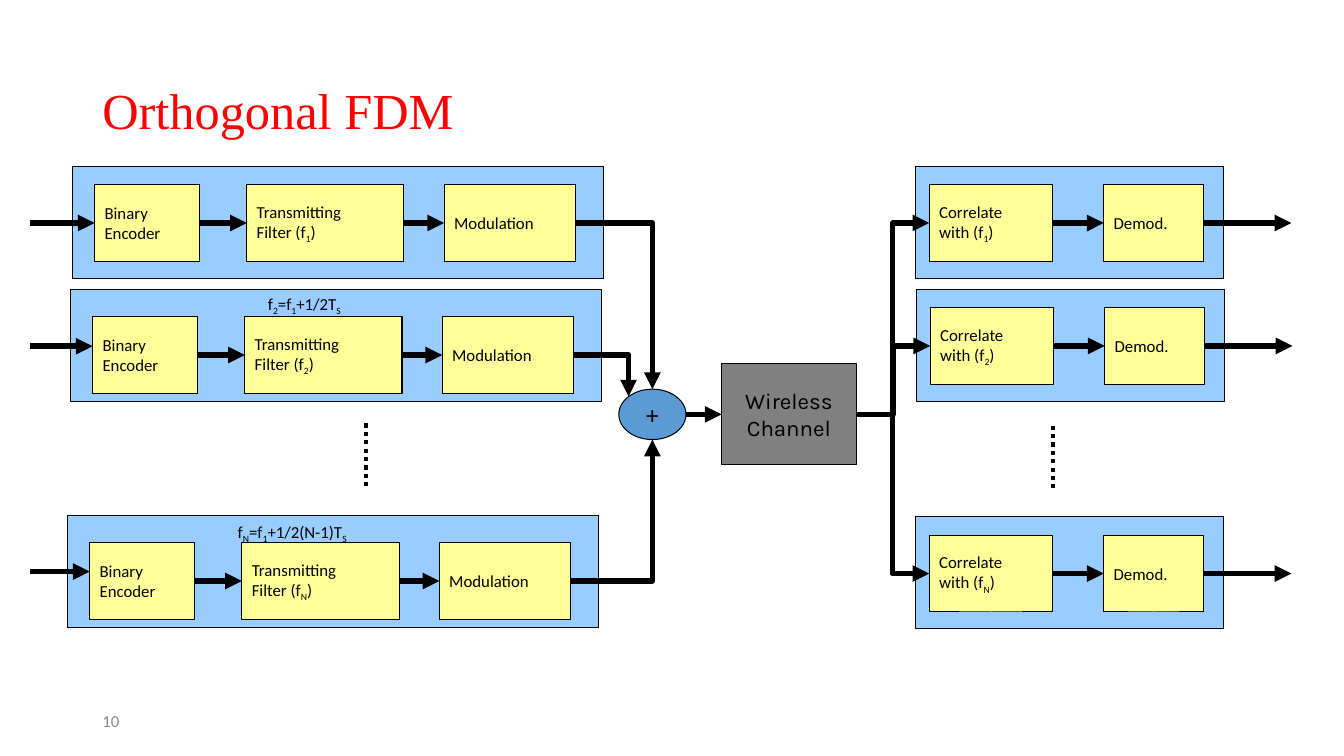
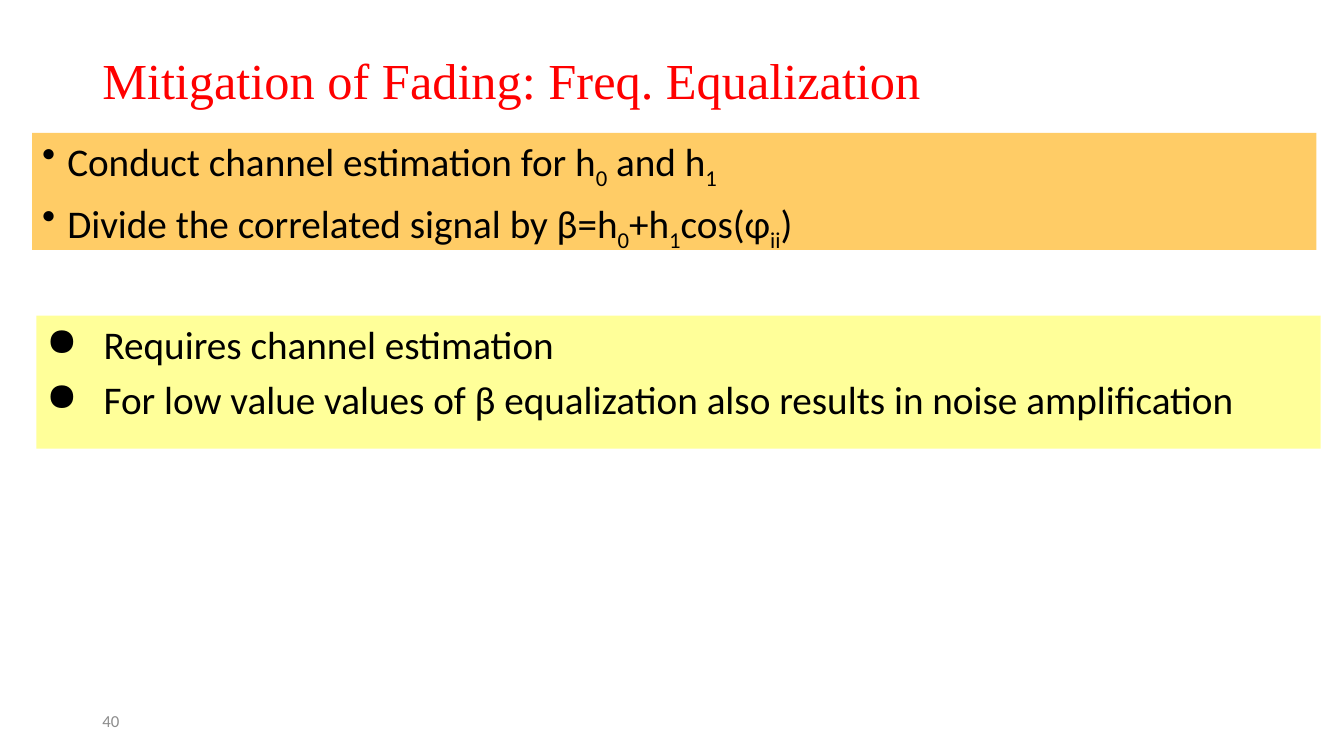
from lxml.etree import SubElement as Sub
from pptx import Presentation as Show
from pptx.dml.color import RGBColor as Rgb
from pptx.enum.dml import MSO_LINE as Dash
from pptx.enum.shapes import MSO_CONNECTOR as Link, MSO_SHAPE as Form
from pptx.enum.text import MSO_ANCHOR as Anchor, PP_ALIGN as Align
from pptx.oxml.ns import qn
from pptx.util import Pt

BLACK, RED, GRAY = "000000", "FF0000", "8C8C8C"
BLUE, YELLOW, ORANGE = "99CCFF", "FFFF99", "FFCC66"
ROUND, STEEL = "5B9BD5", "808080"
BODY = dict(name="Calibri", size=Pt(12))
HEAD = dict(name="Times New Roman", size=Pt(36))
SIGN = dict(name="Calibri", size=Pt(18))
LARGE = dict(name="Calibri", size=Pt(28))
AIR = dict(name="Karla", size=Pt(16))


def color(code):
    return Rgb.from_string(code)


def apply(item, style):
    for key, value in style.items():
        setattr(item, key, value)


class Deck:
    def __init__(self):
        self.show = Show()
        apply(self.show, dict(slide_width=Pt(960), slide_height=Pt(540)))

    def page(self, title, high, number):
        self.slide = self.show.slides.add_slide(self.show.slide_layouts[6])
        self.text((66, 29, 828, high), [title], HEAD, RED, para=dict(line_spacing=0.9))
        self.text((66, 500.5, 216, 29), [number], BODY, GRAY)

    def label(self, shape, lines, font, ink=BLACK, anchor=Anchor.MIDDLE,
              wrap=True, para=None, gap=0, mark=None, indent=0):
        frame = shape.text_frame
        apply(frame, dict(word_wrap=wrap, vertical_anchor=anchor))
        for row, line in enumerate(lines):
            part = frame.add_paragraph() if row else frame.paragraphs[0]
            if mark:
                props = part._p.get_or_add_pPr()
                props.set("marL", str(Pt(indent)))
                props.set("indent", str(-Pt(indent)))
                Sub(props, qn("a:buChar"), char=mark)
            apply(part, dict(alignment=Align.LEFT, space_before=Pt(gap if row else 0)))
            apply(part, para or {})
            for turn, piece in enumerate(line.split("~")):
                if piece:
                    run = part.add_run()
                    run.text = piece
                    apply(run.font, font)
                    run.font.color.rgb = color(ink)
                    if turn % 2:
                        run._r.get_or_add_rPr().set("baseline", "-25000")

    def text(self, place, lines, font, ink=BLACK, **more):
        box = self.slide.shapes.add_textbox(*map(Pt, place))
        self.label(box, lines, font, ink, **more)

    def box(self, place, fill, lines=(), font=BODY, form=Form.RECTANGLE, edge=True, **more):
        shape = self.slide.shapes.add_shape(form, *map(Pt, place))
        shape.shadow.inherit = False
        shape.fill.solid()
        shape.fill.fore_color.rgb = color(fill)
        if edge:
            shape.line.color.rgb = color(BLACK)
            shape.line.width = Pt(0.75)
        else:
            shape.line.fill.background()
        self.label(shape, lines, font, **more)
        return shape

    def wire(self, start=(0, 0), end=(0, 0), tie=None, join=None,
             kind=Link.STRAIGHT, width=4, dash=None):
        line = self.slide.shapes.add_connector(kind, *map(Pt, (*start, *end)))
        if tie:
            line.begin_connect(*tie)
        if join:
            line.end_connect(*join)
        line.line.color.rgb = color(BLACK)
        line.line.width = Pt(width)
        shape = line._element.spPr
        if dash:
            line.line.dash_style = dash
        else:
            Sub(shape.find(qn("a:ln")), qn("a:tailEnd"), type="triangle")
        Sub(shape, qn("a:effectLst"))
        return line

    def bend(self, source, end, target, site):
        line = self.wire(end=end, tie=(source, 3), kind=Link.ELBOW)
        line._element.spPr.find(qn("a:prstGeom")).set("prst", "bentConnector2")
        props = line._element.nvCxnSpPr.cNvCxnSpPr
        Sub(props, qn("a:endCxn"), id=str(target.shape_id), idx=str(site))

    def chain(self, left, top, high, cells):
        boxes = []
        for shift, wide, lines in cells:
            boxes.append(self.box((left + shift, top, wide, high), YELLOW, lines))
        for first, second in zip(boxes, boxes[1:]):
            self.wire(tie=(first, 3), join=(second, 1))
        return boxes


def system(deck):
    deck.page("Orthogonal FDM", 104, "10")
    center = dict(para=dict(alignment=Align.CENTER), wrap=False)
    plus = deck.box((442, 278, 48, 36), ROUND, ["+"], SIGN, form=Form.OVAL, **center)
    air = deck.box((515.5, 260, 96, 72), STEEL, ["Wireless", "Channel"], AIR, **center)
    deck.wire(start=(490, 296), join=(air, 1))

    senders = [
        ("1", 51.8, 118.8, 13, 159.3, (466, 278), 0),
        ("2", 50.4, 206.6, 19.5, 247.3, (449, 283.3), 1),
        ("N", 48.3, 368, 19.5, 408.3, (466, 314), 4),
    ]
    for index, left, top, drop, entry, end, site in senders:
        deck.box((left, top, 379.5, 80), BLUE)
        boxes = deck.chain(left, top + drop, 55, [
            (15.8, 75, ["Binary", "Encoder"]),
            (124.5, 112.3, ["Transmitting", f"Filter (f~{index}~)"]),
            (265.5, 93.6, ["Modulation"]),
        ])
        join = (boxes[0], 1) if index == "1" else None
        deck.wire((21.6, entry), (left + 15.8, entry), join=join)
        deck.bend(boxes[-1], end, plus, site)

    takers = [("1", 653.8, 118.8), ("2", 654.5, 206.6), ("N", 653.8, 369.2)]
    for index, left, top in takers:
        deck.box((left, top, 220.3, 80), BLUE)
        boxes = deck.chain(left, top + 13, 55, [
            (10, 87.8, ["Correlate", f"with (f~{index}~)"]),
            (134.6, 71.5, ["Demod."]),
        ])
        deck.wire(tie=(air, 3), join=(boxes[0], 1), kind=Link.ELBOW)
        deck.wire(end=(left + 268.7, top + 40.5), tie=(boxes[-1], 3))

    for x, y in ((261.4, 302.4), (752, 304)):
        deck.wire((x, y), (x, y + 44.6), width=3, dash=Dash.ROUND_DOT)
    for place, line in (
        ((184.3, 206, 68.4, 21.6), "f~2~=f~1~+1/2T~S~"),
        ((162.7, 368.8, 95, 21.6), "f~N~=f~1~+1/2(N-1)T~S~"),
    ):
        deck.text(place, [line], BODY, anchor=Anchor.TOP, wrap=False)


def fading(deck):
    deck.page("Mitigation of Fading: Freq. Equalization", 61, "40")
    plain = dict(font=LARGE, edge=False, anchor=Anchor.TOP)
    deck.box((23, 95, 917.3, 83.5), ORANGE, [
        "Conduct channel estimation for h~0~ and h~1~",
        "Divide the correlated signal by β=h~0~+h~1~cos(φ~ii~)",
    ], para=dict(line_spacing=0.9), gap=10, mark="•", indent=18, **plain)
    deck.box((26, 225.4, 917.3, 95), YELLOW, [
        "Requires channel estimation",
        "For low value values of β equalization also results in noise amplification",
    ], gap=5.6, mark="●", indent=41, **plain)


def main():
    deck = Deck()
    system(deck)
    fading(deck)
    deck.show.save("out.pptx")


if __name__ == "__main__":
    main()
